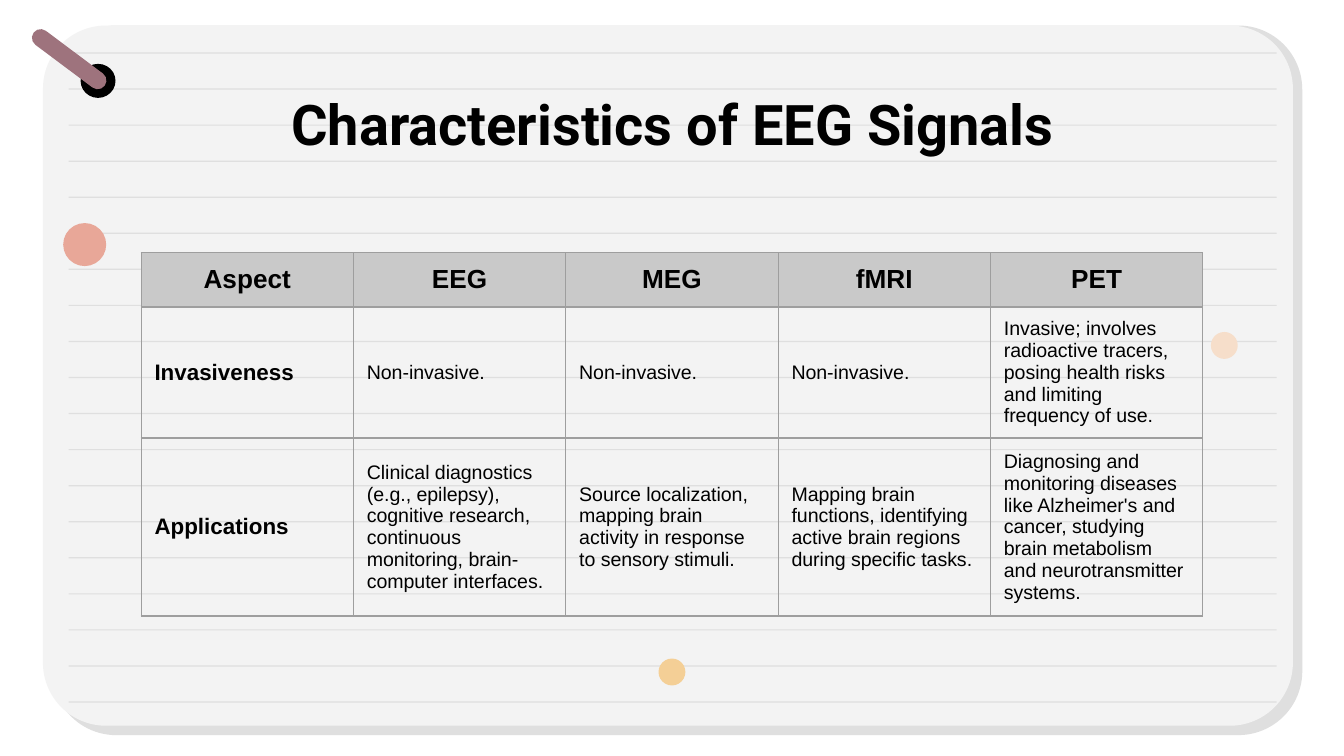
from typing import NamedTuple

from lxml.etree import SubElement
from pptx import Presentation
from pptx.dml.color import RGBColor
from pptx.enum.shapes import MSO_SHAPE as Shape
from pptx.enum.text import MSO_ANCHOR as Anchor, PP_ALIGN as Align
from pptx.oxml.ns import qn
from pptx.util import Inches, Pt

presentation = Presentation()
presentation.slide_width = Inches(10)
presentation.slide_height = Inches(5.625)
slide = presentation.slides.add_slide(presentation.slide_layouts[6])


class Area(NamedTuple):
    left: float
    top: float
    width: float
    height: float


class Decoration(NamedTuple):
    kind: Shape
    area: Area
    color: str
    adjustments: tuple[float, ...] = ()
    rotation: float = 0


def across(percent: float) -> int:
    return round(presentation.slide_width * percent / 100)


def down(percent: float) -> int:
    return round(presentation.slide_height * percent / 100)


def place(area: Area) -> tuple[int, int, int, int]:
    return across(area.left), down(area.top), across(area.width), down(area.height)


def rgb(color: str) -> RGBColor:
    return RGBColor.from_string(color)


def draw(item: Decoration) -> None:
    shape = slide.shapes.add_shape(item.kind, *place(item.area))
    shape.shadow.inherit = False
    shape.fill.solid()
    shape.fill.fore_color.rgb = rgb(item.color)
    shape.line.fill.background()
    shape.rotation = item.rotation
    for index, value in enumerate(item.adjustments):
        shape.adjustments[index] = value


def write(frame, text: str, *, size: float, font: str = "Arial",
          bold: bool = False, align: Align = Align.LEFT) -> None:
    frame.word_wrap = True
    paragraph = frame.paragraphs[0]
    paragraph.alignment = align
    run = paragraph.add_run()
    run.text = text
    run.font.size = Pt(size)
    run.font.name = font
    run.font.bold = bold
    run.font.color.rgb = rgb("000000")


def outline(cell, color: str, width: float) -> None:
    properties = cell._tc.get_or_add_tcPr()
    for side in ("a:lnL", "a:lnR", "a:lnT", "a:lnB"):
        line = SubElement(properties, qn(side), w=str(Pt(width)))
        fill = SubElement(line, qn("a:solidFill"))
        SubElement(fill, qn("a:srgbClr"), val=color)


def draw_table(left: float, top: float, column: float,
               heights: list[float], rows: list[list[str]]) -> None:
    area = Area(left, top, column * len(rows[0]), sum(heights))
    table = slide.shapes.add_table(len(rows), len(rows[0]), *place(area)).table
    table.first_row = table.horz_banding = False
    for row, height in zip(table.rows, heights):
        row.height = down(height)
    for row, texts in enumerate(rows):
        for position, text in enumerate(texts):
            cell = table.cell(row, position)
            cell.vertical_anchor = Anchor.MIDDLE
            outline(cell, "9E9E9E", 0.75)
            if row == 0:
                cell.fill.solid()
                cell.fill.fore_color.rgb = rgb("C9C9C9")
                write(cell.text_frame, text, size=14, bold=True, align=Align.CENTER)
            else:
                cell.fill.background()
                heading = position == 0
                write(cell.text_frame, text, size=12 if heading else 10.5, bold=heading)


PAPER = [
    Decoration(Shape.ROUNDED_RECTANGLE, Area(3.9, 3.38, 93, 93.87), "DFDFDF", (0.09,)),
    Decoration(Shape.ROUNDED_RECTANGLE, Area(3.2, 3.38, 93, 92.62), "F3F3F3", (0.09,)),
]
RULES = [
    Decoration(Shape.RECTANGLE, Area(5.1, 6.93 + 4.77 * number, 89.9, 0.16), "DFDFDF")
    for number in range(19)
]
ORNAMENTS = [
    Decoration(Shape.OVAL, Area(6, 8.45, 2.6, 4.5), "000000"),
    Decoration(Shape.ROUND_2_SAME_RECTANGLE, Area(4.5, 1.96, 1.3, 11.73), "9E737D",
               (0.5, 0.5), 306.8),
    Decoration(Shape.OVAL, Area(4.7, 29.51, 3.2, 5.69), "E8A798"),
    Decoration(Shape.OVAL, Area(49, 87.11, 2, 3.56), "F4CF96"),
    Decoration(Shape.OVAL, Area(90.1, 43.91, 2, 3.56), "F6DECA"),
]
ROWS = [
    ["Aspect", "EEG", "MEG", "fMRI", "PET"],
    ["Invasiveness", "Non-invasive.", "Non-invasive.", "Non-invasive.",
     "Invasive; involves radioactive tracers, posing health risks and limiting "
     "frequency of use."],
    ["Applications",
     "Clinical diagnostics (e.g., epilepsy), cognitive research, continuous "
     "monitoring, brain-computer interfaces.",
     "Source localization, mapping brain activity in response to sensory stimuli.",
     "Mapping brain functions, identifying active brain regions during specific tasks.",
     "Diagnosing and monitoring diseases like Alzheimer's and cancer, studying "
     "brain metabolism and neurotransmitter systems."],
]

for decoration in PAPER + RULES + ORNAMENTS:
    draw(decoration)

title = slide.shapes.add_textbox(*place(Area(7.9, 10.13, 84.3, 11.2))).text_frame
title.margin_top = title.margin_bottom = Inches(0.1)
title.vertical_anchor = Anchor.TOP
write(title, "Characteristics of EEG Signals", size=30, font="Roboto", bold=True,
      align=Align.CENTER)

draw_table(10.5, 33.42, 15.8, [7.2, 16.2, 21.9], ROWS)

presentation.save("out.pptx")
